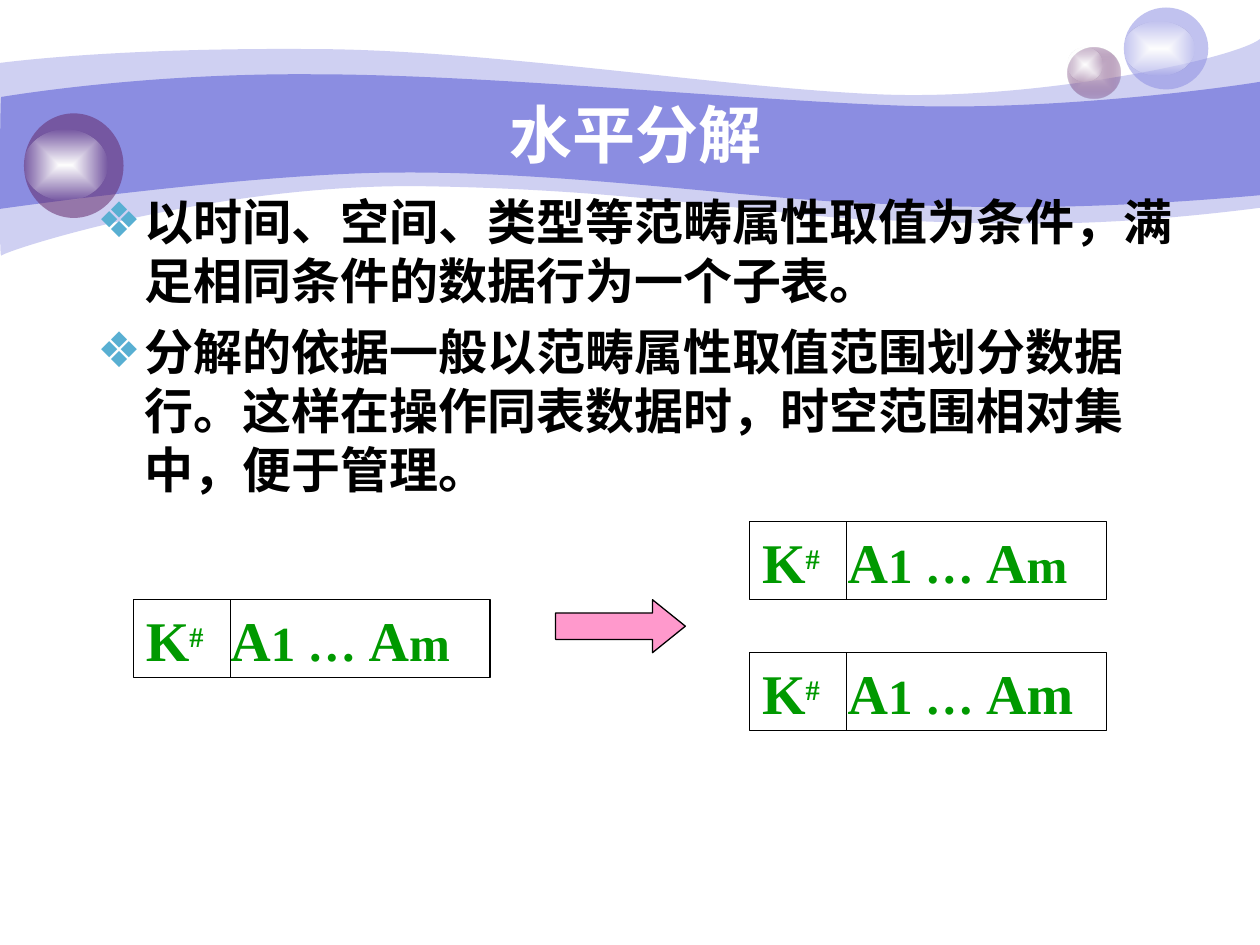
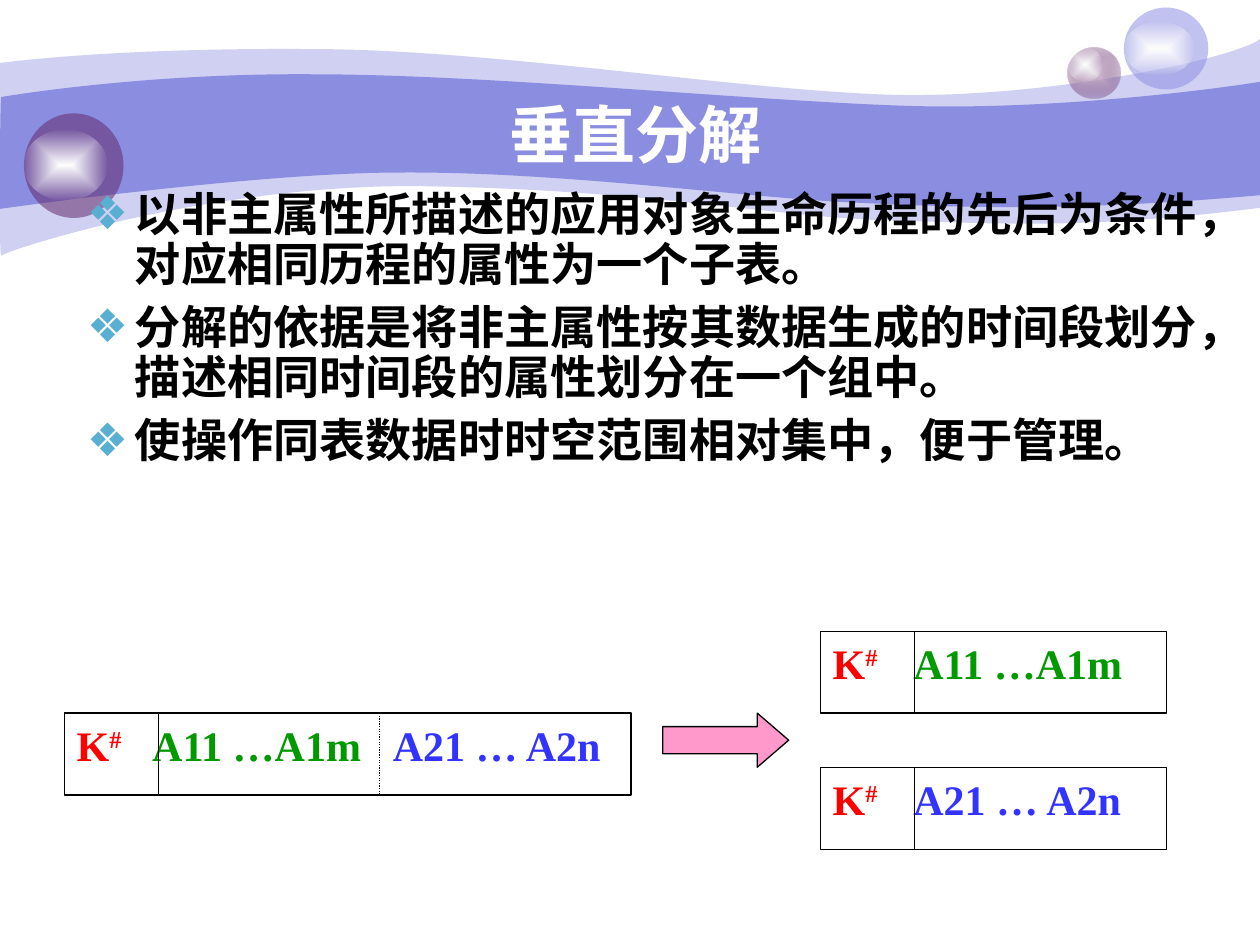
from lxml import etree
from pptx import Presentation
from pptx.dml.color import RGBColor
from pptx.enum import dml, shapes, text
from pptx.oxml import parse_xml
from pptx.oxml.ns import nsdecls, qn
from pptx.util import Inches, Pt

# Shared look
WHITE = RGBColor(0xFF, 0xFF, 0xFF)
BLACK = RGBColor(0x00, 0x00, 0x00)
PERIWINKLE = RGBColor(0x8B, 0x8D, 0xE1)
PLUM = RGBColor(0x63, 0x27, 0x69)
PALE_PLUM = RGBColor(0xD7, 0xC8, 0xD9)
BULLET_BLUE = RGBColor(0x58, 0xAF, 0xD2)
PINK = RGBColor(0xFF, 0x99, 0xCC)
GREEN = RGBColor(0x00, 0x99, 0x00)
RED = RGBColor(0xFF, 0x00, 0x00)
BLUE = RGBColor(0x33, 0x33, 0xFF)
SANS, SERIF, CJK = "Arial", "Times New Roman", "Noto Sans CJK SC"
HANG = Inches(0.38)

# Wave outlines: start point, then Bezier triples or single line points
OUTER_WAVE = [
    (0, 0.5),
    [(0.24, 0.47), (1.07, 0.38), (2.47, 0.39)],
    [(3.86, 0.39), (5.75, 0.7), (6.99, 0.75)],
    [(8.22, 0.8), (9.8, 0.47), (10, 0.31)],
    [(10, 1.65)],
    [(8.58, 1.83), (7.87, 1.77), (7.05, 1.75)],
    [(6.22, 1.73), (5.15, 1.51), (3.43, 1.48)],
    [(1.72, 1.44), (0.04, 1.99), (0.01, 2.03)],
    [(-0.01, 2.08), (0, 0.75), (0, 0.5)],
]
INNER_WAVE = [
    (0.01, 0.77),
    [(0.02, 0.77), (1.1, 0.58), (2.48, 0.59)],
    [(3.86, 0.59), (5.95, 0.8), (7.18, 0.84)],
    [(8.41, 0.88), (9.76, 0.69), (10, 0.65)],
    [(10, 1.55)],
    [(8.53, 1.68), (7.65, 1.65), (6.82, 1.61)],
    [(5.99, 1.58), (4.47, 1.36), (3.17, 1.37)],
    [(2.03, 1.37), (-0.02, 1.66), (-0.01, 1.66)],
    [(0, 1.66), (0, 0.77), (0.01, 0.77)],
]


def add_run(paragraph, words, size, color, font=SANS, superscript=False):
    run = paragraph.add_run()
    run.text = words
    run.font.size = Pt(size)
    run.font.bold = True
    run.font.color.rgb = color
    run.font.name = font
    properties = run.font._element
    etree.SubElement(properties, qn("a:ea")).set("typeface", CJK)
    if superscript:
        properties.set("baseline", "30000")


def fill_solid(shape, color, opacity=100):
    shape.fill.solid()
    shape.fill.fore_color.rgb = color
    if opacity < 100:
        for tint in shape.element.spPr.iter(qn("a:srgbClr")):
            etree.SubElement(tint, qn("a:alpha")).set("val", str(opacity * 1000))


def fill_glow(shape, center, edge, edge_opacity):
    shape.element.spPr.insert(2, parse_xml(
        f'<a:gradFill {nsdecls("a")} rotWithShape="1"><a:gsLst>'
        f'<a:gs pos="0"><a:srgbClr val="{center}"/></a:gs>'
        f'<a:gs pos="100000"><a:srgbClr val="{edge}">'
        f'<a:alpha val="{edge_opacity * 1000}"/></a:srgbClr></a:gs></a:gsLst>'
        '<a:path path="rect"><a:fillToRect l="50000" t="50000" r="50000" b="50000"/>'
        '</a:path></a:gradFill>'))


def add_preset(owner, kind, box, outlined=False):
    shape = owner.shapes.add_shape(kind, *map(Inches, box))
    shape.shadow.inherit = False
    if outlined:
        shape.line.color.rgb = BLACK
        shape.line.width = Pt(0.75)
    else:
        shape.line.fill.background()
    return shape


def bend_segments(wave, pieces):
    """Turn each triple of line segments into one cubic curve."""
    segments = iter(list(wave.element.iter(qn("a:lnTo"))))
    for piece in pieces:
        lines = [next(segments) for _ in piece]
        if len(lines) == 3:
            outline = lines[0].getparent()
            curve = etree.SubElement(outline, qn("a:cubicBezTo"))
            lines[0].addprevious(curve)
            for line in lines:
                curve.append(line[0])
                outline.remove(line)


def add_wave(slide, outline, opacity=100):
    start, *pieces = outline
    builder = slide.shapes.build_freeform(*map(Inches, start))
    builder.add_line_segments(
        [(Inches(x), Inches(y)) for piece in pieces for x, y in piece])
    wave = builder.convert_to_shape()
    bend_segments(wave, pieces)
    wave.shadow.inherit = False
    wave.line.fill.background()
    fill_solid(wave, PERIWINKLE, opacity)
    return wave


def add_bubble(slide, body_box, shine_box):
    body = add_preset(slide, shapes.MSO_SHAPE.OVAL, body_box)
    shine = add_preset(slide, shapes.MSO_SHAPE.OVAL, shine_box)
    fill_glow(shine, WHITE, WHITE, 0)
    return body, shine


def move_banner_to_layout(slide):
    """Draw waves and bubbles, then hand them to the slide's layout."""
    waves = [add_wave(slide, OUTER_WAVE, 41), add_wave(slide, INNER_WAVE)]
    small = add_bubble(slide, (8.47, 0.38, 0.42, 0.4), (8.47, 0.38, 0.28, 0.27))
    fill_glow(small[0], PALE_PLUM, PLUM, 31)
    light = add_bubble(slide, (8.92, 0.06, 0.67, 0.65), (8.92, 0.17, 0.56, 0.43))
    fill_solid(light[0], PERIWINKLE, 53)
    dark = add_bubble(slide, (0.19, 0.9, 0.79, 0.83), (0.19, 1.03, 0.66, 0.56))
    fill_solid(dark[0], PLUM, 53)
    layout_tree = slide.slide_layout.shapes.element
    for order, part in enumerate([*waves, *small, *light, *dark]):
        part.element.nvSpPr.cNvPr.set("id", str(100 + order))
        layout_tree.insert(2 + order, part.element)


def place(holder, box):
    holder.left, holder.top, holder.width, holder.height = map(Inches, box)
    holder.text_frame.auto_size = text.MSO_AUTO_SIZE.NONE
    holder.text_frame.word_wrap = True
    return holder.text_frame


def write_title(slide, words):
    frame = place(slide.shapes.title, (1, 0.75, 8.08, 0.62))
    frame.vertical_anchor = text.MSO_ANCHOR.MIDDLE
    frame.paragraphs[0].alignment = text.PP_ALIGN.CENTER
    add_run(frame.paragraphs[0], words, 36, WHITE)


def write_points(slide, box, points, size, before, spacing=1.0, font=SANS):
    frame = place(slide.placeholders[1], box)
    frame.vertical_anchor = text.MSO_ANCHOR.TOP
    for index, point in enumerate(points):
        paragraph = frame.add_paragraph() if index else frame.paragraphs[0]
        paragraph.space_before = Pt(before)
        paragraph.line_spacing = spacing
        add_run(paragraph, point, size, BLACK, font)
        properties = paragraph._p.get_or_add_pPr()
        properties.set("marL", str(HANG))
        properties.set("indent", str(-HANG))
        properties.set("hangingPunct", "0")
        bullet_color = etree.SubElement(properties, qn("a:buClr"))
        etree.SubElement(bullet_color, qn("a:srgbClr")).set("val", str(BULLET_BLUE))
        etree.SubElement(properties, qn("a:buChar")).set("char", "❖")


def add_divider(group, x, top, height, dotted=False):
    divider = group.shapes.add_connector(
        shapes.MSO_CONNECTOR.STRAIGHT,
        *map(Inches, (x, top, x, top + height)))
    divider.line.color.rgb = BLACK
    divider.line.width = Pt(0.75)
    if dotted:
        divider.line.dash_style = dml.MSO_LINE.ROUND_DOT
    etree.SubElement(divider.element.spPr, qn("a:effectLst"))


def add_record(group, box, pieces, stops, key_width, split=None):
    """A table row: key cell, attribute cell and an optional dotted split."""
    left, top, _, height = box
    record = add_preset(group, shapes.MSO_SHAPE.RECTANGLE, box, outlined=True)
    fill_solid(record, WHITE)
    frame = record.text_frame
    frame.word_wrap = True
    frame.vertical_anchor = text.MSO_ANCHOR.TOP
    paragraph = frame.paragraphs[0]
    paragraph.alignment = text.PP_ALIGN.LEFT
    tabs = etree.SubElement(paragraph._p.get_or_add_pPr(), qn("a:tabLst"))
    for stop in stops:
        etree.SubElement(tabs, qn("a:tab"), pos=str(Inches(stop)), algn="l")
    for words, size, color in pieces:
        add_run(paragraph, words, size, color, SERIF, superscript=words.startswith("#"))
    add_divider(group, left + key_width, top, height)
    if split:
        add_divider(group, left + split, top, height, dotted=True)


def add_decomposition(slide, origin, height, key_width, source, arrow, targets):
    """Source row, arrow and two result rows, placed from the top-left origin."""
    left, top = origin
    group = slide.shapes.add_group_shape()
    source_width, pieces, stops, split = source
    add_record(group, (left, top + height, source_width, height),
               pieces, stops, key_width, split)
    arrow_x, arrow_width, arrow_height, head = arrow
    target_x, target_width, target_stop, target_pieces = targets
    for index, pieces in enumerate(target_pieces):
        row_top = top + index * (height + arrow_height)
        add_record(group, (left + target_x, row_top, target_width, height),
                   pieces, [target_stop], key_width)
    pointer = add_preset(group, shapes.MSO_SHAPE.RIGHT_ARROW,
                         (left + arrow_x, top + height, arrow_width, arrow_height),
                         outlined=True)
    pointer.adjustments[1] = head
    fill_solid(pointer, PINK)


def horizontal_slide(slide):
    write_title(slide, "水平分解")
    write_points(slide, (0.67, 1.47, 9, 2.82), [
        "以时间、空间、类型等范畴属性取值为条件，满足相同条件的数据行为一个子表。",
        "分解的依据一般以范畴属性取值范围划分数据行。这样在操作同表数据时，时空范围相对集中，便于管理。",
    ], size=28, before=7)
    start = [("K", 32, GREEN), ("#", 28, GREEN), ("\tA", 32, GREEN), ("1 … ", 28, GREEN)]
    small_m = start + [("A", 32, GREEN), ("m", 28, GREEN)]
    large_m = start + [("Am", 32, GREEN)]
    add_decomposition(slide, (1.06, 4.14), height=0.62, key_width=0.77,
                      source=(2.83, small_m, [0.67], None),
                      arrow=(3.35, 1.03, 0.42, 0.62),
                      targets=(4.89, 2.83, 0.68, [small_m, large_m]))


def vertical_slide(slide):
    write_title(slide, "垂直分解")
    write_points(slide, (0.59, 1.47, 9.41, 2.52), [
        "以非主属性所描述的应用对象生命历程的先后为条件，对应相同历程的属性为一个子表。",
        "分解的依据是将非主属性按其数据生成的时间段划分，描述相同时间段的属性划分在一个组中。",
        "使操作同表数据时时空范围相对集中，便于管理。",
    ], size=26.4, before=7.7, spacing=0.9, font=CJK)
    key = [("K", 24, RED), ("#", 24, RED)]
    early, late = ("\tA11 …A1m", 24, GREEN), ("\tA21 … A2n", 24, BLUE)
    add_decomposition(slide, (0.51, 5.01), height=0.65, key_width=0.75,
                      source=(4.5, key + [early, late], [0.6, 2.51], 2.5),
                      arrow=(4.75, 1, 0.43, 0.58),
                      targets=(6, 2.75, 0.64, [key + [early], key + [late]]))


def main():
    deck = Presentation()
    deck.slide_width, deck.slide_height = Inches(10), Inches(7.5)
    layout = deck.slide_layouts[1]
    first = deck.slides.add_slide(layout)
    move_banner_to_layout(first)
    horizontal_slide(first)
    vertical_slide(deck.slides.add_slide(layout))
    deck.save("out.pptx")


if __name__ == "__main__":
    main()
